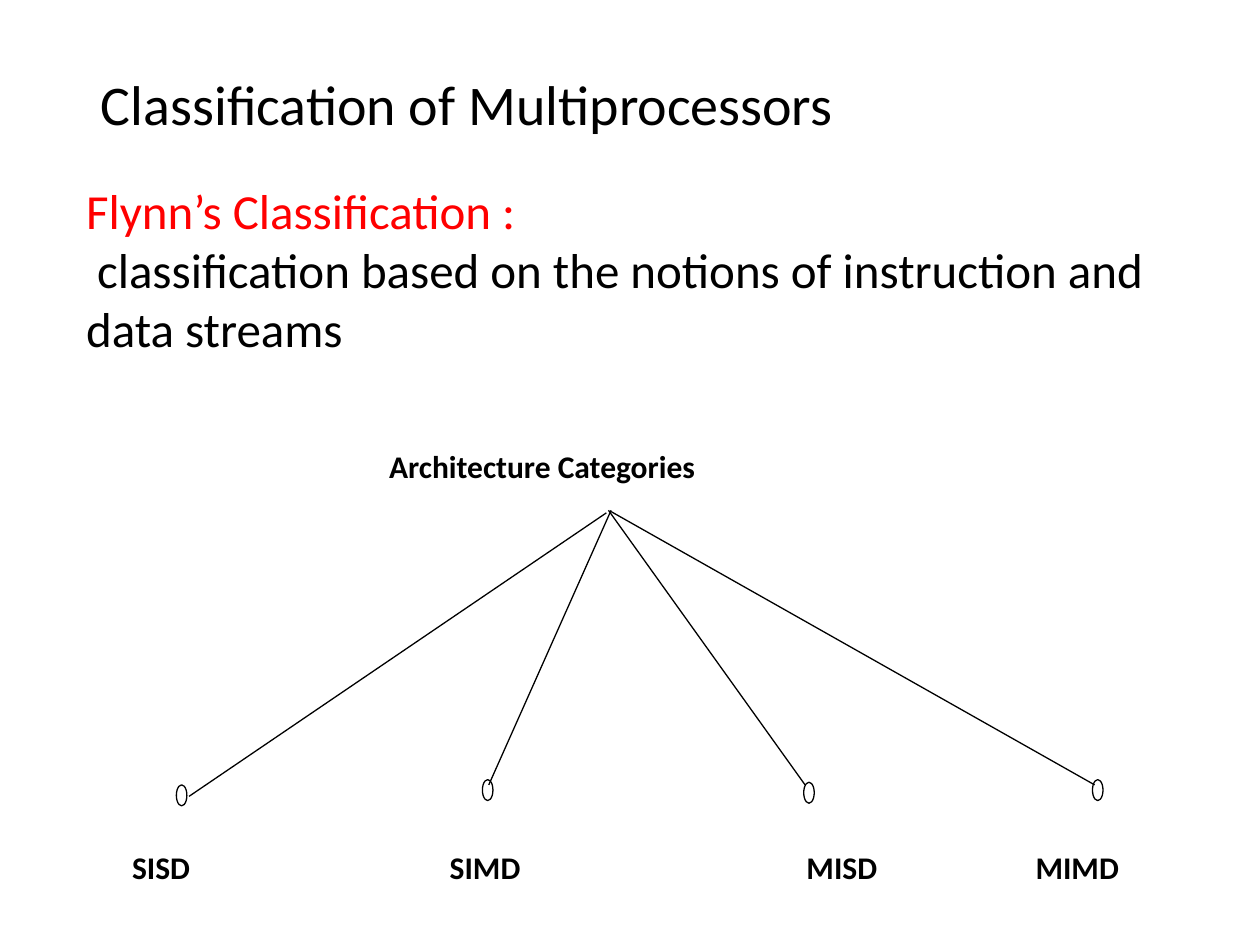
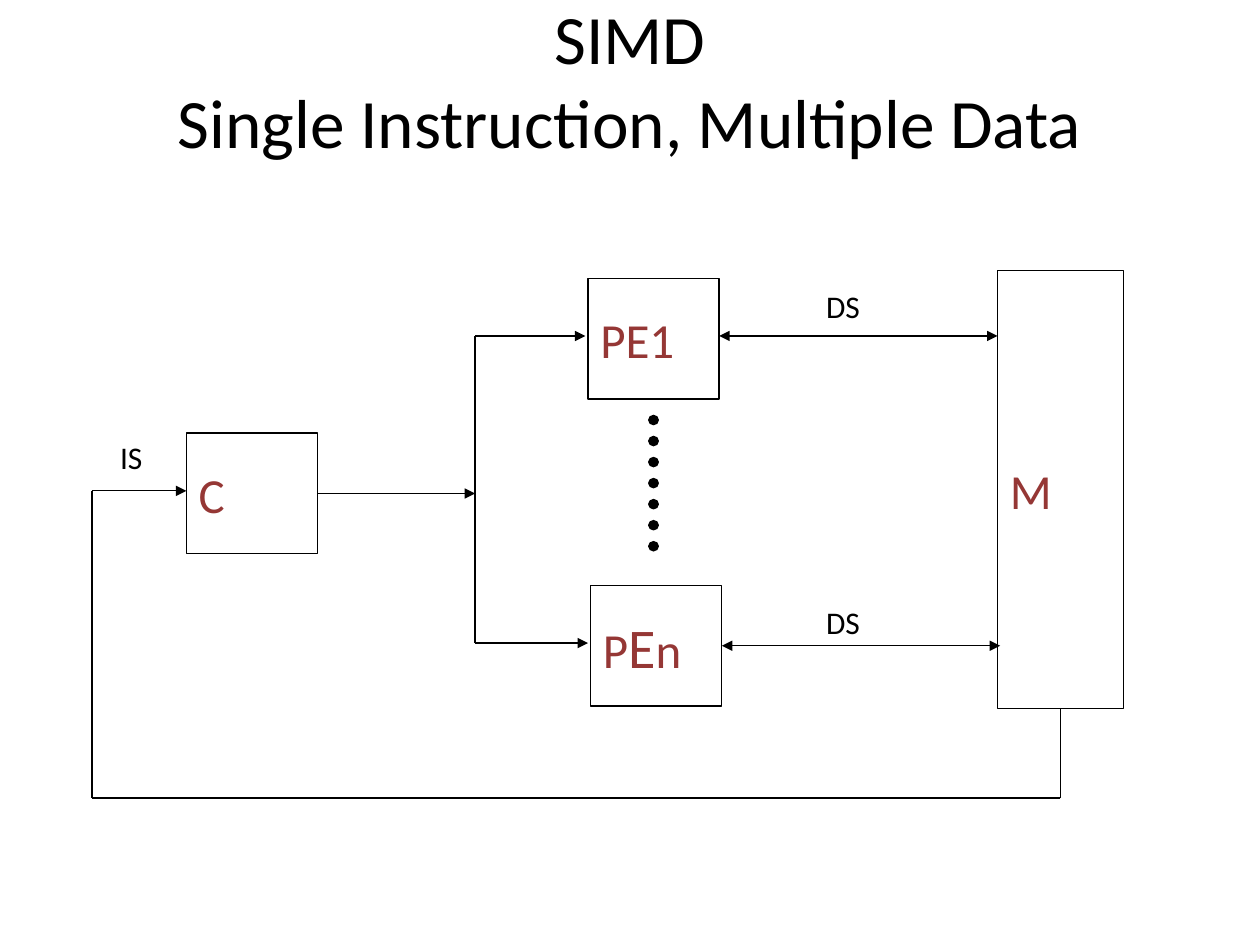
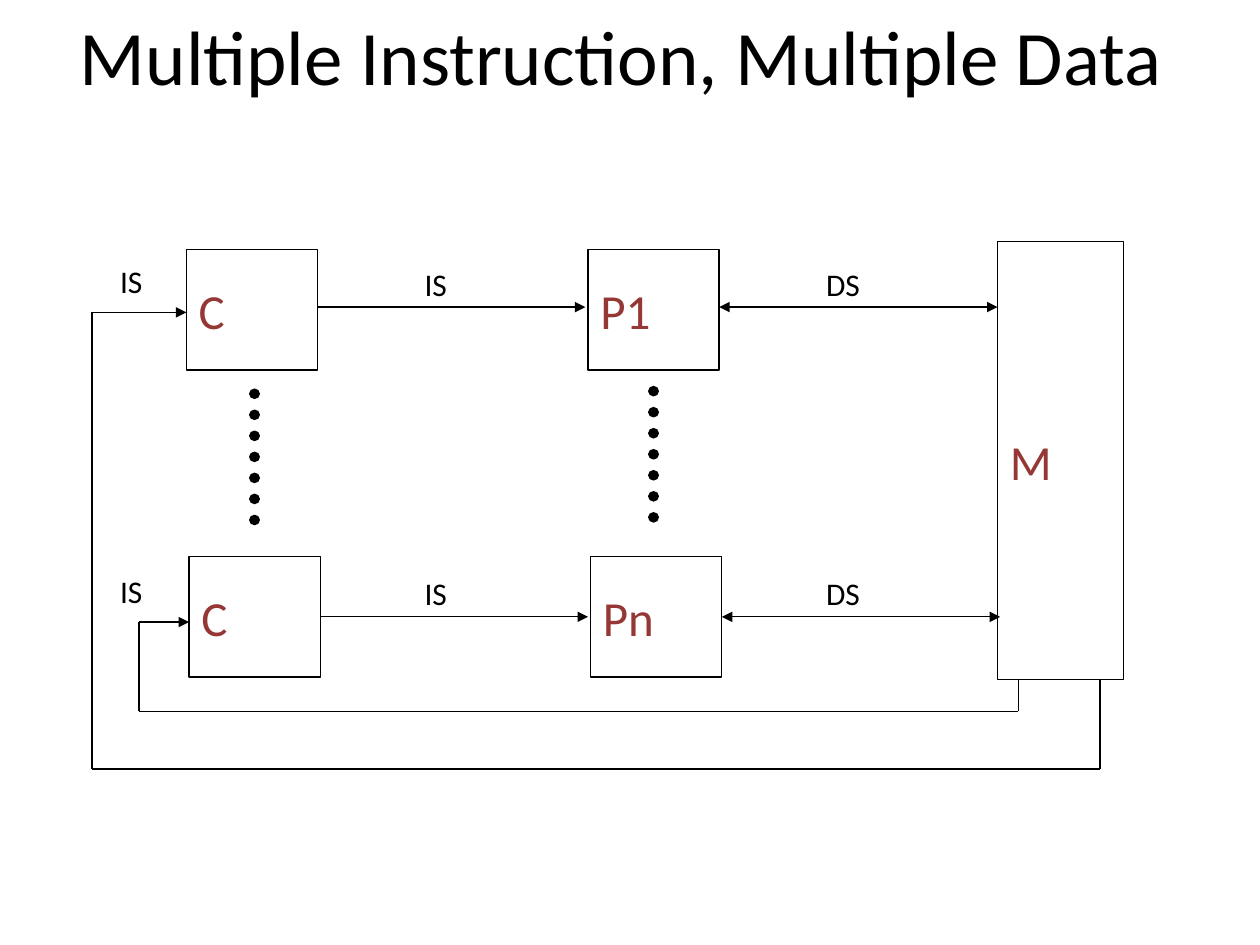
from pptx import Presentation
from pptx.dml.color import RGBColor
from pptx.enum.dml import MSO_LINE
from pptx.enum.shapes import MSO_CONNECTOR, MSO_SHAPE
from pptx.enum.text import MSO_ANCHOR as ANCHOR, MSO_AUTO_SIZE as AUTO, PP_ALIGN as ALIGN
from pptx.oxml.ns import qn
from pptx.util import Inches, Pt
from lxml.etree import SubElement

# Shared style; the grid has 48 columns and rows to the inch
FONT = "Calibri"
BLACK, WHITE, RED, BROWN = "000000", "FFFFFF", "FF0000", "953735"
COLS, ROWS = 480, 360
LINE_W, DOT_W = 0.75, 6
LABEL, NODE = {"size": 18}, {"size": 28, "color": BROWN}


def rgb(value):
    return RGBColor.from_string(value)


class Deck:
    """Holds the style and the current slide."""

    def __init__(self):
        self.prs = Presentation()
        self.prs.slide_width, self.prs.slide_height = Inches(10), Inches(7.5)
        self.s = None

    def x(self, col):
        return round(self.prs.slide_width * col / COLS)

    def y(self, row):
        return round(self.prs.slide_height * row / ROWS)

    def rect(self, col, row, w, h):
        return self.x(col), self.y(row), self.x(w), self.y(h)

    def fill_text(self, tf, runs, align=ALIGN.LEFT, before=None, **frame):
        """Fill a frame with one paragraph of (text, format) runs."""
        for name, value in frame.items():
            setattr(tf, name, value)
        p = tf.paragraphs[0]
        p.alignment, p.space_before = align, before
        for text, fmt in runs:
            for i, part in enumerate(text.split("\n")):
                if i:
                    p.add_line_break()
                if not part:
                    continue
                r = p.add_run()
                r.text = part
                style = {"name": FONT, "color": BLACK, **fmt}
                r.font.color.rgb = rgb(style.pop("color"))
                style["size"] = Pt(style["size"])
                for name, value in style.items():
                    setattr(r.font, name, value)

    def slide(self, at, runs, align=ALIGN.CENTER):
        """Start a title-only slide and set its title."""
        self.s = self.prs.slides.add_slide(self.prs.slide_layouts[5])
        title = self.s.shapes.title
        title.left, title.top, title.width, title.height = self.rect(*at)
        self.fill_text(title.text_frame, runs, align, auto_size=AUTO.NONE,
                       vertical_anchor=ANCHOR.MIDDLE)

    def text(self, at, text, fmt=LABEL, align=ALIGN.LEFT, anchor=ANCHOR.MIDDLE, before=None):
        tf = self.s.shapes.add_textbox(*self.rect(*at)).text_frame
        self.fill_text(tf, [(text, fmt)], align, before, vertical_anchor=anchor,
                       word_wrap=False, auto_size=AUTO.SHAPE_TO_FIT_TEXT)

    def shape(self, kind, at, fill=None):
        sp = self.s.shapes.add_shape(kind, *self.rect(*at))
        sp.shadow.inherit = False
        if fill:
            sp.fill.solid()
            sp.fill.fore_color.rgb = rgb(fill)
        else:
            sp.fill.background()
        sp.line.color.rgb, sp.line.width = rgb(BLACK), Pt(LINE_W)
        return sp

    def box(self, col, row, *runs, w=50, h=46):
        """Draw a block; plain strings take the node format."""
        sp = self.shape(MSO_SHAPE.RECTANGLE, (col, row, w, h), WHITE)
        runs = [(r, NODE) if isinstance(r, str) else r for r in runs]
        self.fill_text(sp.text_frame, runs, vertical_anchor=ANCHOR.MIDDLE, word_wrap=False)

    def line(self, start, end, head=False, tail=False, dotted=False):
        c = self.s.shapes.add_connector(MSO_CONNECTOR.STRAIGHT, self.x(start[0]),
                                        self.y(start[1]), self.x(end[0]), self.y(end[1]))
        c.line.color.rgb = rgb(BLACK)
        c.line.width = Pt(DOT_W if dotted else LINE_W)
        props = c.element.spPr
        ln = props.find(qn("a:ln"))
        if dotted:
            c.line.dash_style = MSO_LINE.ROUND_DOT
            ln.set("cap", "rnd")
        for tag, shown in (("a:headEnd", head), ("a:tailEnd", tail)):
            if shown:
                SubElement(ln, qn(tag), type="triangle")
        SubElement(props, qn("a:effectLst"))

    def route(self, *points):
        """Join points with lines, ending in an arrow."""
        last = len(points) - 2
        for i, ends in enumerate(zip(points, points[1:])):
            self.line(*ends, tail=i == last)

    def dots(self, col, row):
        self.line((col, row), (col, row + 53), dotted=True)

    def processors(self, top, first, last, ds_height=24):
        """Draw two processors, the memory and their data streams."""
        self.box(224, top + 3, *first)
        self.box(225, top + 120, *last)
        self.box(380, top, "M", w=48, h=167)
        self.dots(249, top + 57)
        for col, row in ((274, top + 25), (275, top + 143)):
            self.line((col, row), (col + 106, row), head=True, tail=True)
        self.text((310, top + 4, 32, ds_height), "DS")
        self.text((310, top + 122, 32, 24), "DS")


def classification(d):
    d.slide((28, 64, 436, 77), [
        ("Flynn’s Classification :\n", {"size": 28, "color": RED}),
        (" classification based on the notions of instruction and data streams", {"size": 28}),
    ], ALIGN.LEFT)
    d.text((32, 24, 292, 31), "Classification of Multiprocessors", {"size": 32},
           ALIGN.CENTER, ANCHOR.TOP)

    # Root and leaf labels
    labels = [("Architecture Categories", 143.5, 163, 191, ALIGN.LEFT),
              ("SISD", 45.6, 316, 47, ALIGN.LEFT), ("SIMD", 166.6, 316, 49.5, ALIGN.LEFT),
              ("MISD", 289.4, 316, 49.5, ALIGN.RIGHT), ("MIMD", 389.8, 316, 52.3, ALIGN.LEFT)]
    for name, col, row, w, align in labels:
        d.text((col, row, w, 24), name, {**LABEL, "bold": True}, align, ANCHOR.BOTTOM, Pt(9))

    # Branches, each with its node
    branches = [((231, 195.4), (72, 303.4), (67.2, 299)),
                ((232.8, 194.4), (186.2, 299), (183.8, 297)),
                ((231.8, 194.4), (306.7, 299), (306.2, 298)),
                ((232.8, 194.9), (417, 299), (416.2, 297))]
    for start, end, node in branches:
        d.line(start, end)
        d.shape(MSO_SHAPE.OVAL, (*node, 4, 8))


def simd(d):
    d.slide((24, 16, 432, 28),
            [("SIMD\n Single Instruction, Multiple Data ", {"size": 39.6})])
    d.box(71, 165, "C")
    d.processors(103, ["PE1"], ["P", ("E", {**NODE, "size": 32}), "n"], ds_height=19)

    # Control unit to both processors
    d.route((121, 188), (181, 188))
    d.route((181, 245), (181, 128), (223, 128))
    d.route((181, 245), (224, 245))

    # Instruction stream back from memory
    d.route((404, 270), (404, 304), (35, 304), (35, 187), (71, 187))
    d.text((41, 162, 25, 24), "IS")


def mimd(d):
    d.slide((24, 0, 432, 42), [("Multiple Instruction, Multiple Data ", {"size": 44})])
    d.processors(92, ["P1"], ["Pn"])
    d.dots(97, 150)

    # Control units, each with its instruction streams
    for col, row in ((71, 95), (72, 212)):
        d.box(col, row, "C")
    for col, row in ((121, 117), (122, 235)):
        d.route((col, row), (col + 102, row))
    for col, row in ((41, 95), (41, 213), (157, 96), (157, 214)):
        d.text((col, row, 25, 24), "IS")

    # Loops back from memory
    for right, bottom, left, row, end in ((388, 271, 53, 237, 72), (419, 293, 35, 119, 71)):
        d.route((right, 259), (right, bottom), (left, bottom), (left, row), (end, row))


def main():
    d = Deck()
    for build in (classification, simd, mimd):
        build(d)
    d.prs.save("out.pptx")


if __name__ == "__main__":
    main()
